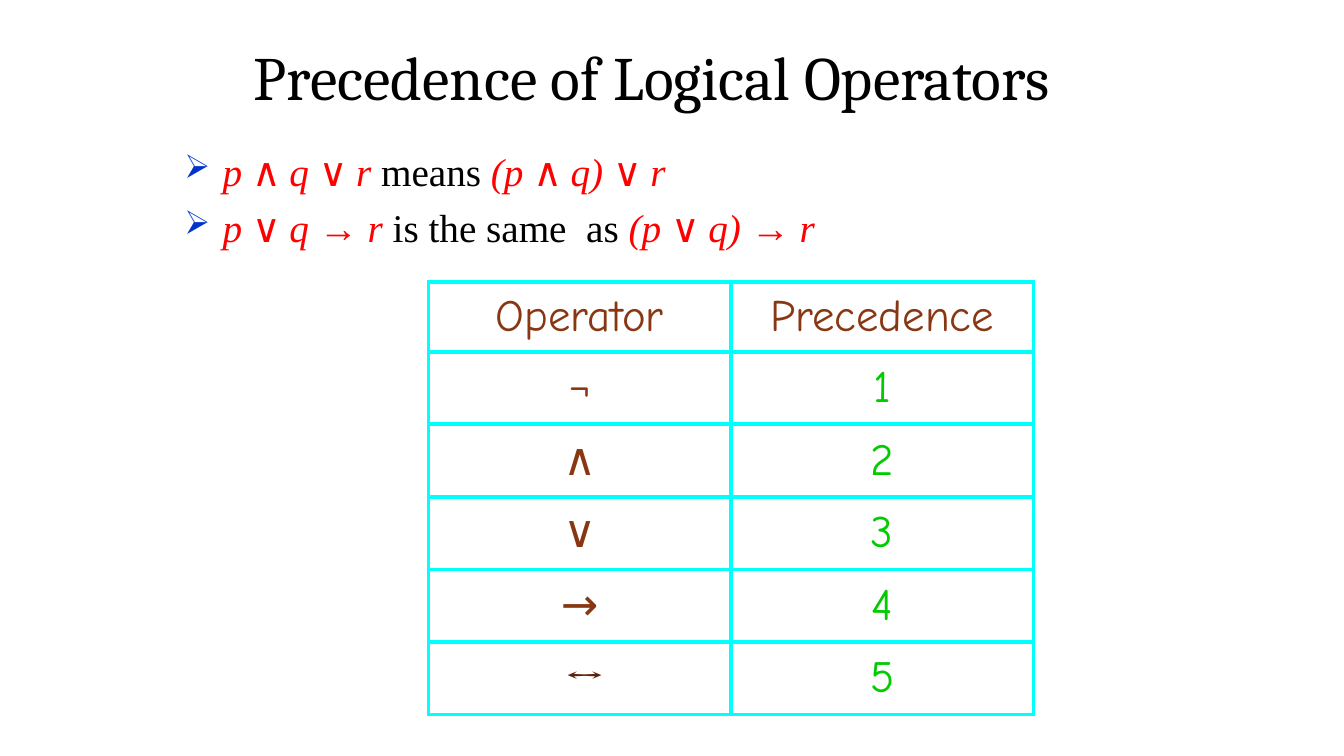
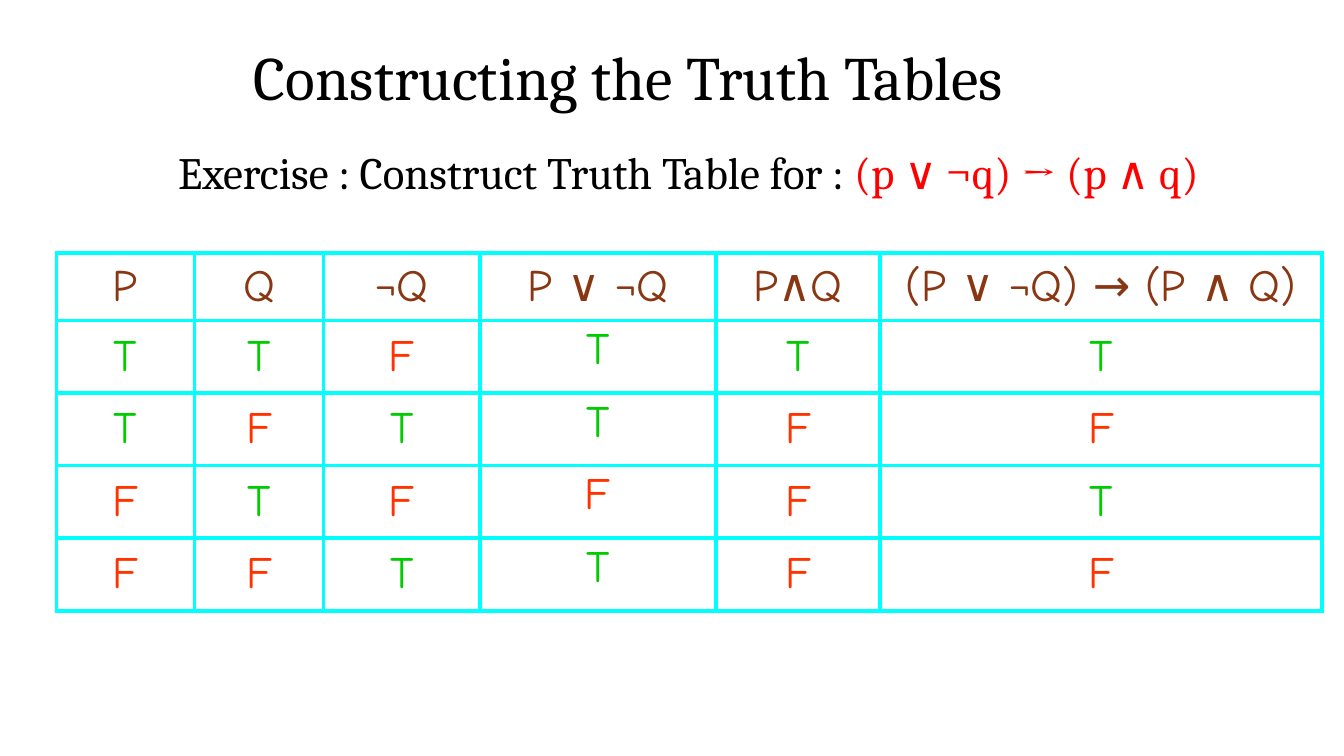
import pptx
import pptx.dml.color
import pptx.enum.text
import pptx.oxml
import pptx.oxml.ns
import pptx.util
from pptx.util import Inches

SERIF = "Cambria"
ROMAN = "Times New Roman"
HAND = "Comic Neue"
BLACK = "000000"
RED = "FF0000"
BLUE = "0033CC"
CYAN = "00FFFF"
BROWN = "893713"
DARK_BROWN = "5C240C"
GREEN = "00CC00"
ORANGE = "FF3300"

ROW_HEIGHT = 0.72
ALIGN = pptx.enum.text.PP_ALIGN
ANCHOR = pptx.enum.text.MSO_ANCHOR


def color(value):
    return pptx.dml.color.RGBColor.from_string(value)


def set_font(font, name, size, value):
    font.name = name
    font.size = pptx.util.Pt(size)
    font.color.rgb = color(value)


def append_xml(parent, markup):
    namespace = pptx.oxml.ns.nsdecls("a")
    parent.append(pptx.oxml.parse_xml(markup.replace(" ", f" {namespace} ", 1)))


def add_text_frame(page, left, top, width, height):
    box = page.shapes.add_textbox(Inches(left), Inches(top), Inches(width), Inches(height))
    box.text_frame.word_wrap = True
    return box.text_frame


def add_title(page, text):
    frame = add_text_frame(page, 2.42, 0.42, 9.19, 0.75)
    frame.vertical_anchor = ANCHOR.MIDDLE
    para = frame.paragraphs[0]
    para.text = text
    para.line_spacing = 0.9
    set_font(para.font, SERIF, 44, BLACK)


def add_formula(para, formula):
    """Add red runs: italic variables, upright operators."""
    for token in formula.split():
        span = para.add_run()
        span.text = token + " "
        span.font.color.rgb = color(RED)
        span.font.italic = token not in "∧∨→"
        if token in "∧∨":
            span.font.name = SERIF


def add_rule(para, formula, words, meaning):
    """Fill a bulleted paragraph stating how a formula is read."""
    properties = para._p.get_or_add_pPr()
    properties.set("marL", str(Inches(0.39)))
    properties.set("indent", str(Inches(-0.38)))
    append_xml(properties, f'<a:buClr ><a:srgbClr val="{BLUE}"/></a:buClr>')
    append_xml(properties, '<a:buSzPct val="84000"/>')
    append_xml(properties, '<a:buChar char="➢"/>')
    set_font(para.font, ROMAN, 28, BLACK)
    add_formula(para, formula)
    para.add_run().text = words + " "
    add_formula(para, meaning)


def add_borders(cell):
    properties = cell._tc.get_or_add_tcPr()
    for side in "LRTB":
        append_xml(properties, f'<a:ln{side} w="{pptx.util.Pt(3)}"><a:solidFill>'
                               f'<a:srgbClr val="{CYAN}"/></a:solidFill></a:ln{side}>')


def entry_color(text):
    if text == "F":
        return ORANGE
    return GREEN if text == "T" or text.isdigit() else BROWN


def fill_cell(cell, text):
    add_borders(cell)
    cell.fill.background()
    cell.vertical_anchor = ANCHOR.MIDDLE
    para = cell.text_frame.paragraphs[0]
    para.text = text
    para.alignment = ALIGN.CENTER
    set_font(para.font, HAND, 32, entry_color(text))


def add_grid(page, left, top, widths, header_height, rows):
    height = header_height + ROW_HEIGHT * (len(rows) - 1)
    table = page.shapes.add_table(len(rows), len(widths), Inches(left), Inches(top),
                                  Inches(sum(widths)), Inches(height)).table
    table.first_row = table.horz_banding = False
    for column, width in zip(table.columns, widths):
        column.width = Inches(width)
    for index, entries in enumerate(rows):
        table.rows[index].height = Inches(ROW_HEIGHT if index else header_height)
        for cell, text in zip(table.rows[index].cells, entries):
            fill_cell(cell, text)
    return table


def build_precedence(page):
    add_title(page, "Precedence of Logical Operators")
    table = add_grid(page, 4.25, 2.8, [3, 3], 0.69, [
        ("Operator", "Precedence"),
        ("¬", "1"),
        ("∧", "2"),
        ("∨", "3"),
        ("→", "4"),
        (" ↔", "5"),
    ])
    biconditional = table.cell(5, 0).text_frame.paragraphs[0]
    set_font(biconditional.font, SERIF, 32, DARK_BROWN)
    biconditional.font.bold = True

    frame = add_text_frame(page, 1.72, 1.41, 8.5, 1.09)
    add_rule(frame.paragraphs[0], "p ∧ q ∨ r", "means", "(p ∧ q) ∨ r")
    second = frame.add_paragraph()
    second.line_spacing = 1.2
    add_rule(second, "p ∨ q → r", "is the same  as", "(p ∨ q) → r")


def build_truth_table(page):
    add_title(page, "Constructing the Truth Tables")
    para = add_text_frame(page, 1.36, 1.45, 10.94, 1.21).paragraphs[0]
    para.alignment = ALIGN.CENTER
    para.line_spacing = 0.9
    set_font(para.font, SERIF, 32, BLACK)
    para.add_run().text = "Exercise : Construct Truth Table for : "
    formula = para.add_run()
    formula.text = "(p ∨ ¬q) → (p ∧ q)"
    formula.font.color.rgb = color(RED)

    table = add_grid(page, 0.56, 2.51, [1.37, 1.28, 1.55, 2.34, 1.63, 4.38], 0.67, [
        ("P", "Q", "¬Q", "P ∨ ¬Q", "P∧Q", "(P ∨ ¬Q) → (P ∧ Q)"),
        "TTFTTT",
        "TFTTFF",
        "FTFFFT",
        "FFTTFF",
    ])
    for row in range(1, 5):
        disjunction = table.cell(row, 3)
        disjunction.vertical_anchor = ANCHOR.TOP
        disjunction.margin_top = Inches(0.04)
        disjunction.margin_left = disjunction.margin_right = disjunction.margin_bottom = 0


def main():
    deck = pptx.Presentation()
    deck.slide_width, deck.slide_height = Inches(13.33), Inches(7.5)
    for build in (build_precedence, build_truth_table):
        build(deck.slides.add_slide(deck.slide_layouts[6]))
    deck.save("out.pptx")


if __name__ == "__main__":
    main()
